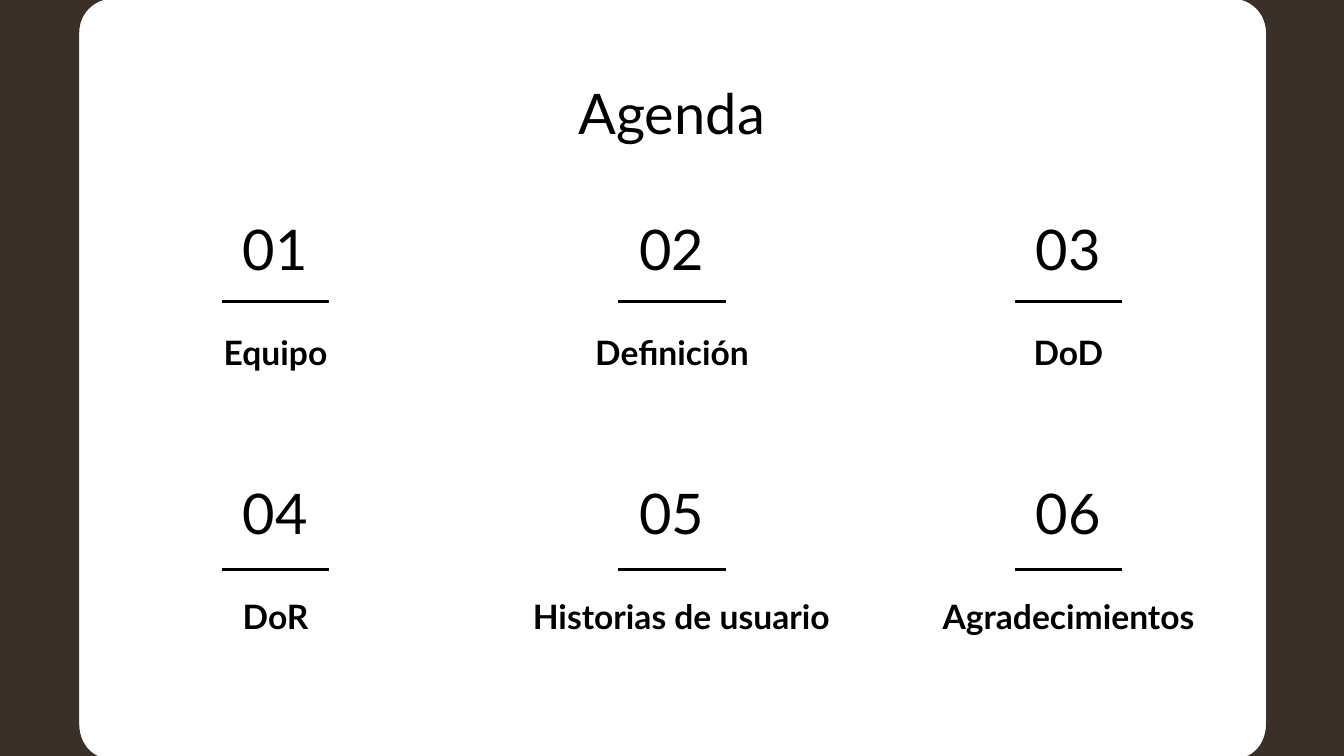
"""Build an agenda slide: six numbered topics between two rounded side bands."""
from dataclasses import dataclass
from math import cos, pi, sin

from lxml import etree
from pptx import Presentation
from pptx.dml.color import RGBColor
from pptx.enum.shapes import MSO_CONNECTOR
from pptx.enum.text import MSO_ANCHOR, PP_ALIGN
from pptx.oxml.ns import qn
from pptx.util import Pt

PX = 4572
WIDTH, HEIGHT = 2000, 1125
FONT = "Lato"
BLACK = RGBColor(0x00, 0x00, 0x00)
WHITE = RGBColor(0xFF, 0xFF, 0xFF)
BROWN = RGBColor(0x39, 0x30, 0x2A)
TOP, MIDDLE = MSO_ANCHOR.TOP, MSO_ANCHOR.MIDDLE
CENTER = PP_ALIGN.CENTER
STRAIGHT = MSO_CONNECTOR.STRAIGHT

COLUMNS = 3
LEFT, COLUMN_STEP = 158, 590
NUMBER_TOP, LABEL_TOP, ROW_STEP = 320, 474, 393
RULE_TOP, RULE_STEP = 449, 399
NUMBER_INDENT, NUMBER_WIDTH = 172, 160
BOX_HEIGHT = 98
INSET = 20
CORNER_STEPS = 12
MIRROR = 2002


@dataclass(frozen=True)
class Topic:
    label: str
    width: int = 504


@dataclass(frozen=True)
class Corner:
    x: int
    y: int
    rx: int
    ry: int
    start: float
    end: float


TOPICS = [
    Topic("Equipo"),
    Topic("Definición"),
    Topic("DoD"),
    Topic("DoR"),
    Topic("Historias de usuario", 532),
    Topic("Agradecimientos"),
]
CORNERS = [
    Corner(160, 1078, 42, 50, pi / 2, pi),
    Corner(168, 48, 50, 50, pi, 3 * pi / 2),
]


def corner_points(c: Corner) -> list[tuple[float, float]]:
    """Return points along a quarter ellipse."""
    angles = [c.start + (c.end - c.start) * i / CORNER_STEPS
              for i in range(CORNER_STEPS + 1)]
    return [(c.x + c.rx * cos(a), c.y + c.ry * sin(a)) for a in angles]


def add_band(s, mirrored: bool) -> None:
    """Draw one side band whose inner edge has rounded corners."""
    points = [(0, -2), (0, 1128)]
    for corner in CORNERS:
        points += corner_points(corner)
    if mirrored:
        points = [(MIRROR - x, y) for x, y in points]
    points = [(round(x * PX), round(y * PX)) for x, y in points]
    builder = s.shapes.build_freeform(*points[0], scale=1.0)
    builder.add_line_segments(points[1:], close=True)
    sp = builder.convert_to_shape()
    sp.shadow.inherit = False
    sp.fill.solid()
    sp.fill.fore_color.rgb = BROWN
    sp.line.fill.background()


def add_text(s, text: str, x: int, y: int, w: int, h: int,
             size: int, bold: bool = False, anchor=TOP) -> None:
    """Add a centred line of text."""
    tf = s.shapes.add_textbox(x * PX, y * PX, w * PX, h * PX).text_frame
    tf.word_wrap = True
    tf.vertical_anchor = anchor
    tf.margin_left = tf.margin_right = INSET * PX
    tf.margin_top = tf.margin_bottom = INSET * PX
    p = tf.paragraphs[0]
    p.text = text
    p.alignment = CENTER
    p.font.name = FONT
    p.font.size = Pt(size)
    p.font.bold = bold
    p.font.color.rgb = BLACK


def add_rule(s, x: int, y: int, w: int) -> None:
    """Draw a horizontal black rule."""
    line = s.shapes.add_connector(STRAIGHT, x * PX, y * PX, (x + w) * PX, y * PX)
    line.line.color.rgb = BLACK
    line.line.width = Pt(1.5)
    etree.SubElement(line._element.spPr, qn("a:effectLst"))


def add_topic(s, index: int, topic: Topic) -> None:
    """Place a number, its rule and its label in the grid."""
    row, column = divmod(index, COLUMNS)
    x = LEFT + column * COLUMN_STEP
    number_x = x + NUMBER_INDENT
    add_text(s, f"{index + 1:02}", number_x, NUMBER_TOP + row * ROW_STEP,
             NUMBER_WIDTH, BOX_HEIGHT, 30, anchor=MIDDLE)
    add_rule(s, number_x, RULE_TOP + row * RULE_STEP, NUMBER_WIDTH)
    add_text(s, topic.label, x, LABEL_TOP + row * ROW_STEP,
             topic.width, BOX_HEIGHT, 18, bold=True)


def main() -> None:
    """Build and save the slide."""
    prs = Presentation()
    prs.slide_width, prs.slide_height = WIDTH * PX, HEIGHT * PX
    s = prs.slides.add_slide(prs.slide_layouts[6])
    s.background.fill.solid()
    s.background.fill.fore_color.rgb = WHITE
    for mirrored in (False, True):
        add_band(s, mirrored)
    add_text(s, "Agenda", LEFT - 1, 97, 1685, 126, 30)
    for index, topic in enumerate(TOPICS):
        add_topic(s, index, topic)
    prs.save("out.pptx")


if __name__ == "__main__":
    main()
